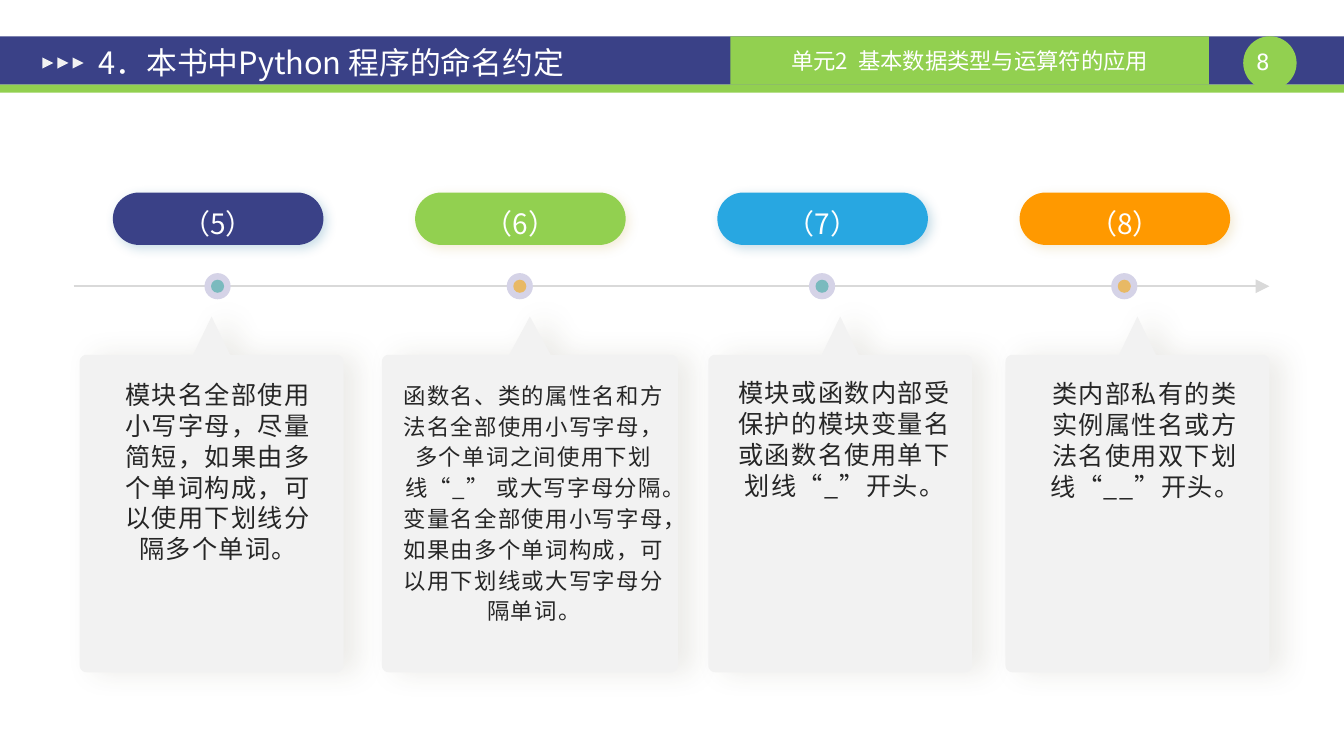
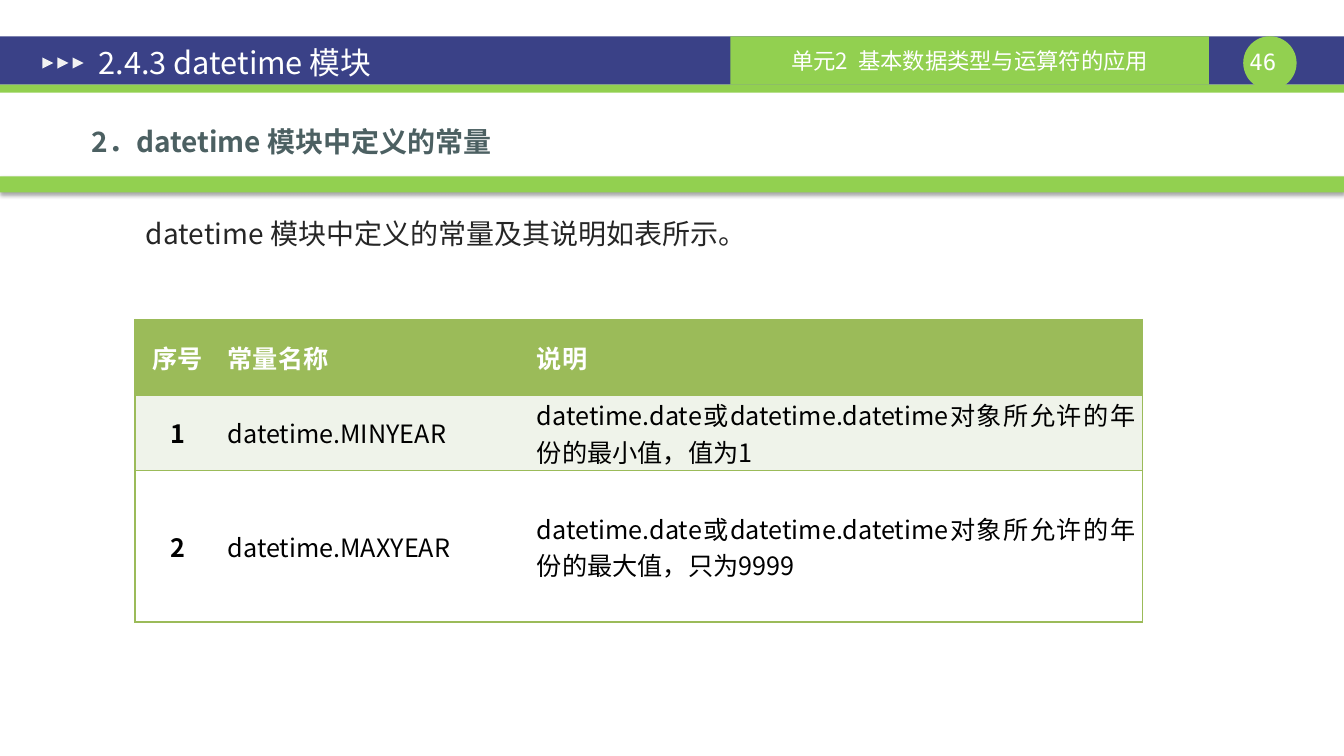
import math

import pptx
import pptx.dml.color
import pptx.enum.shapes
import pptx.enum.text
import pptx.oxml
import pptx.oxml.ns
import pptx.util

SHAPE = pptx.enum.shapes.MSO_SHAPE
ALIGN = pptx.enum.text.PP_ALIGN
ANCHOR = pptx.enum.text.MSO_ANCHOR
Inches, Pt, qn = pptx.util.Inches, pptx.util.Pt, pptx.oxml.ns.qn

# Content and style
WIDTH, HEIGHT = 13.34, 7.5
FONT, MONO = "Noto Sans CJK SC", "DejaVu Sans Mono"
COLORS = {
    "navy": "3A4187", "green": "92D050", "blue": "28A7E1", "orange": "FF9900",
    "white": "FFFFFF", "pale": "F2F2F2", "ink": "262626", "black": "000000",
    "axis": "D9D9D9", "ring": "D5D3E7", "teal": "7ABABE", "amber": "E8B965",
    "slate": "4C6062", "olive": "9BBB59", "mint": "EFF3EA",
    "card_shadow": "4A452A", "cool_shadow": "2E7EA4", "warm_shadow": "D3B76A",
}
UNIT = "单元2  基本数据类型与运算符的应用"

# label, pill colour, card (left, width), text (left, top, width), size, text
RULES = [
    ("（5）", "navy", (0.79, 2.62), (1.12, 3.76, 2.09), 18,
     "模块名全部使用小写字母，尽量简短，如果由多个单词构成，可以使用下划线分隔多个单词。"),
    ("（6）", "green", (3.79, 2.94), (4, 3.75, 2.6), 16,
     "函数名、类的属性名和方法名全部使用小写字母，多个单词之间使用下划线“_” 或大写字母分隔。"
     "变量名全部使用小写字母，如果由多个单词构成，可以用下划线或大写字母分隔单词。"),
    ("（7）", "blue", (7.03, 2.62), (7.27, 3.74, 2.23), 18,
     "模块或函数内部受保护的模块变量名或函数名使用单下划线“_”开头。"),
    ("（8）", "orange", (9.98, 2.62), (10.37, 3.75, 1.99), 18,
     "类内部私有的类实例属性名或方法名使用双下划线“__”开头。"),
]
NOTES = [  # text, left, top, width, colour, bold
    ("2．datetime 模块中定义的常量", 0.31, 1.08, 12.48, "slate", True),
    ("datetime 模块中定义的常量及其说明如表所示。", 0.85, 1.99, 11.41, "ink", False),
]
CONSTANTS = [
    ("序号", "常量名称", "说明"),
    ("1", "datetime.MINYEAR",
     "datetime.date或datetime.datetime对象所允许的年份的最小值，值为1"),
    ("2", "datetime.MAXYEAR",
     "datetime.date或datetime.datetime对象所允许的年份的最大值，只为9999"),
]
COL_WIDTHS, ROW_HEIGHTS = (0.85, 3.07, 6.08), (0.75, 0.75, 1.5)
ROW_FILLS = ("olive", "mint", "white")


def rgb(name):
    return pptx.dml.color.RGBColor.from_string(COLORS[name])


def xml(tag, body="", **attrs):
    listed = "".join(f' {key}="{value}"' for key, value in attrs.items())
    return pptx.oxml.parse_xml(
        f"<a:{tag} {pptx.oxml.ns.nsdecls('a')}{listed}>{body}</a:{tag}>")


def write(tf, text, size, color, align=ALIGN.LEFT, bold=False, font=FONT,
          spacing=None, tracking=0, indent=0):
    tf.text = text
    p = tf.paragraphs[0]
    p.alignment = align
    if spacing:
        p.line_spacing = spacing
    if indent:
        p._p.get_or_add_pPr().set("indent", str(Inches(indent)))
    r = p.runs[0]
    r.font.size, r.font.bold, r.font.name = Pt(size), bold, font
    r.font.color.rgb = rgb(color)
    rPr = r._r.get_or_add_rPr()
    rPr.append(xml("ea", typeface=font))
    if tracking:
        rPr.set("spc", str(tracking * 100))


def inset(tf, x, y):
    tf.margin_left = tf.margin_right = Inches(x)
    tf.margin_top = tf.margin_bottom = Inches(y)


def paint(sp, color, shadow=None):
    """Flat fill; shadow is (colour, opacity %, blur pt, distance pt, angle)."""
    sp.fill.solid()
    sp.fill.fore_color.rgb = rgb(color)
    sp.line.fill.background()
    sp.shadow.inherit = False
    if shadow:
        tint, alpha, blur, dist, angle = shadow
        body = (f'<a:srgbClr val="{COLORS[tint]}">'
                f'<a:alpha val="{alpha * 1000}"/></a:srgbClr>')
        sp.element.spPr.find(qn("a:effectLst")).append(
            xml("outerShdw", body, blurRad=int(Pt(blur)), dist=int(Pt(dist)),
                dir=angle * 60000, algn="ctr", rotWithShape=0))
    return sp


def block(s, kind, x, y, w, h, color, shadow=None):
    sp = s.shapes.add_shape(kind, Inches(x), Inches(y), Inches(w), Inches(h))
    return paint(sp, color, shadow)


def textbox(s, x, y, w, h, margins=None):
    tf = s.shapes.add_textbox(Inches(x), Inches(y), Inches(w), Inches(h)).text_frame
    tf.word_wrap = True
    if margins:
        inset(tf, *margins)
    return tf


def dot(s, cx, cy, size, color):
    block(s, SHAPE.OVAL, cx - size / 2, cy - size / 2, size, size, color)


def brand_layout(layout, s):
    """Draw the shared header on s, then move its parts into the layout."""
    parts = [
        block(s, SHAPE.RECTANGLE, 0, 0.36, WIDTH, 0.48, "navy"),
        block(s, SHAPE.RECTANGLE, 0, 0.84, WIDTH, 0.08, "green"),
        block(s, SHAPE.OVAL, 12.34, 0.36, 0.53, 0.53, "green"),
        block(s, SHAPE.RECTANGLE, 7.25, 0.36, 4.75, 0.48, "green"),
    ]
    write(parts[-1].text_frame, UNIT, 16, "white", ALIGN.CENTER)
    for i in range(3):
        arrow = block(s, SHAPE.ISOSCELES_TRIANGLE, 0.42 + 0.15 * i, 0.57,
                      0.11, 0.11, "pale")
        arrow.rotation = 90
        parts.append(arrow)
    for i, sp in enumerate(parts):
        sp.element.nvSpPr.cNvPr.set("id", str(100 + i))
        layout.shapes.element.append(sp.element)


def head(s, title, number):
    sp = s.shapes.title
    sp.left, sp.top = Inches(0.85), Inches(0.4)
    sp.width, sp.height = Inches(7.2), Inches(0.44)
    tf = sp.text_frame
    write(tf, title, 22, "white")
    tf.auto_size = pptx.enum.text.MSO_AUTO_SIZE.NONE
    tf.vertical_anchor = ANCHOR.MIDDLE
    inset(tf, 0.13, 0.07)
    write(textbox(s, 12.27, 0.48, 0.53, 0.27, (0, 0)), str(number), 16, "white",
          ALIGN.CENTER, font=MONO)


def card(s, x, w, top=3.52, bottom=6.67, tip=3.14, radius=0.07):
    """Rounded card with a pointer in the middle of its top edge."""
    mid, half = x + w / 2, 0.07 * w
    points = [(mid - half, top), (mid, tip), (mid + half, top)]
    corners = [(x + w - radius, top + radius, -90), (x + w - radius, bottom - radius, 0),
               (x + radius, bottom - radius, 90), (x + radius, top + radius, 180)]
    for cx, cy, start in corners:
        for step in range(0, 91, 15):
            a = math.radians(start + step)
            points.append((cx + radius * math.cos(a), cy + radius * math.sin(a)))
    outline = [(Inches(px), Inches(py)) for px, py in points]
    fb = s.shapes.build_freeform(*outline[0])
    fb.add_line_segments(outline[1:], close=True)
    paint(fb.convert_to_shape(), "pale", ("card_shadow", 10, 20, 10, 0))


def rules_slide(s):
    # Time line
    axis = 2.84
    line = s.shapes.add_connector(pptx.enum.shapes.MSO_CONNECTOR.STRAIGHT,
                                  Inches(0.73), Inches(axis), Inches(12.6), Inches(axis))
    line.line.color.rgb = rgb("axis")
    line.line.width = Pt(1.25)
    line.line._get_or_add_ln().append(xml("tailEnd", type="triangle", w="lg", len="lg"))
    line.element.spPr.append(xml("effectLst"))

    # One column per rule: card, text, marker, pill
    for i, (label, color, (x, w), (tx, ty, tw), size, text) in enumerate(RULES):
        center = 2.16 + 3 * i
        card(s, x, w)
        write(textbox(s, tx, ty, tw, 2.44, (0, 0)), text, size, "ink", ALIGN.CENTER,
              spacing=Pt(22), tracking=1)
        dot(s, center, axis, 0.26, "ring")
        dot(s, center, axis, 0.13, ("teal", "amber")[i % 2])
        tint = ("cool_shadow", "warm_shadow")[i % 2]
        pill = block(s, SHAPE.ROUNDED_RECTANGLE, center - 1.04, 1.91, 2.09, 0.52,
                     color, (tint, 25, 8, 3, 45))
        pill.adjustments[0] = 0.5
        inset(pill.text_frame, 0, 0)
        pill.text_frame.vertical_anchor = ANCHOR.TOP
        write(pill.text_frame, label, 20, "white", ALIGN.CENTER, spacing=1.2)


def constants_slide(s):
    # Section heading and lead-in
    block(s, SHAPE.RECTANGLE, 0, 1.75, WIDTH, 0.16, "green", ("black", 35, 3.1, 1.8, 90))
    for text, x, y, w, color, bold in NOTES:
        write(textbox(s, x, y, w, 0.5), text, 20, color, bold=bold,
              spacing=1.32, indent=0.5)

    # Table with outer frame and row lines
    table = s.shapes.add_table(len(ROW_HEIGHTS), len(COL_WIDTHS), Inches(1.34), Inches(3.17),
                               Inches(sum(COL_WIDTHS)), Inches(sum(ROW_HEIGHTS))).table
    table.first_row = table.horz_banding = False
    style = table._tbl.tblPr.find(qn("a:tableStyleId"))
    style.text = "{2D5ABB26-0587-4C30-8999-92F81FD0307C}"
    for column, w in zip(table.columns, COL_WIDTHS):
        column.width = Inches(w)
    edge = f'<a:solidFill><a:srgbClr val="{COLORS["olive"]}"/></a:solidFill>'
    last = len(COL_WIDTHS) - 1
    for i, values in enumerate(CONSTANTS):
        table.rows[i].height = Inches(ROW_HEIGHTS[i])
        for j, text in enumerate(values):
            cell = table.cell(i, j)
            sides = ["lnL"] * (j == 0) + ["lnR"] * (j == last) + ["lnT", "lnB"]
            for side in sides:
                cell._tc.get_or_add_tcPr().append(xml(side, edge, w=int(Pt(1))))
            cell.fill.solid()
            cell.fill.fore_color.rgb = rgb(ROW_FILLS[i])
            cell.vertical_anchor = ANCHOR.MIDDLE
            inset(cell, 0.07, 0)
            write(cell.text_frame, text, 18, "black" if i else "white",
                  ALIGN.JUSTIFY if j else ALIGN.CENTER, bold=i == 0 or j == 0)


def main():
    prs = pptx.Presentation()
    prs.slide_width, prs.slide_height = Inches(WIDTH), Inches(HEIGHT)
    layout = prs.slide_layouts[5]
    pages = [("4．本书中Python 程序的命名约定", 8, rules_slide),
             ("2.4.3 datetime 模块", 46, constants_slide)]
    for i, (title, number, fill_page) in enumerate(pages):
        s = prs.slides.add_slide(layout)
        if i == 0:
            brand_layout(layout, s)
        head(s, title, number)
        fill_page(s)
    prs.save("out.pptx")


if __name__ == "__main__":
    main()
